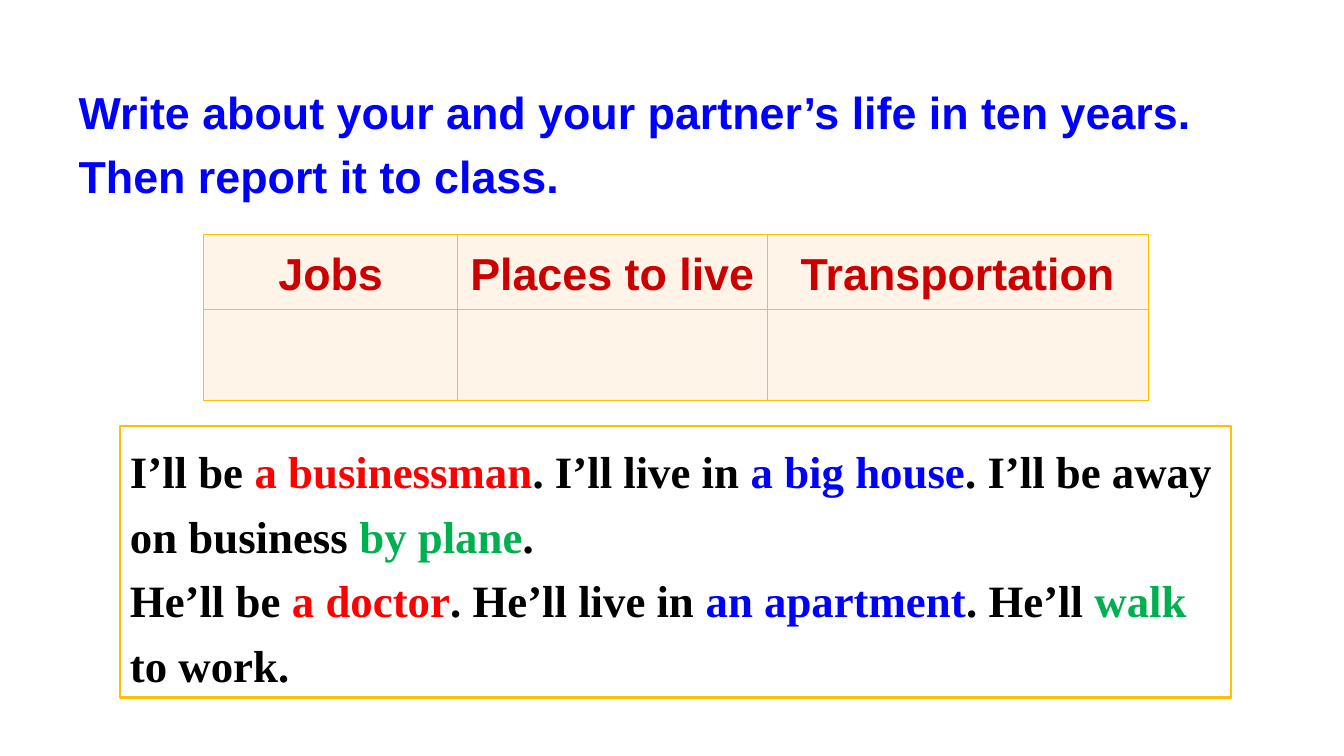
from lxml import etree
from pptx import Presentation
from pptx.dml.color import RGBColor
from pptx.enum.shapes import MSO_SHAPE
from pptx.enum.text import MSO_ANCHOR, MSO_AUTO_SIZE, PP_ALIGN
from pptx.oxml.ns import qn
from pptx.util import Inches, Pt

RECT = MSO_SHAPE.RECTANGLE
TOP, MIDDLE = MSO_ANCHOR.TOP, MSO_ANCHOR.MIDDLE
GROW = MSO_AUTO_SIZE.SHAPE_TO_FIT_TEXT
LEFT, CENTER = PP_ALIGN.LEFT, PP_ALIGN.CENTER

BLACK, RED, BLUE, GREEN = "000000", "FF0000", "0000FF", "00B050"
GOLD, CREAM, CRIMSON = "FFC000", "FFF4E7", "CC0000"

TITLE = "Write about your and your partner’s life in ten years. Then report it to class."
HEADINGS = ["Jobs", "Places to live", "Transportation"]
COL_WIDTHS = [2.52, 3.07, 3.78]
ROW_HEIGHTS = [0.71, 0.9]
REPORTS = [
    [("I’ll be ", BLACK), ("a businessman", RED), (". I’ll live in ", BLACK),
     ("a big house", BLUE), (". I’ll be away on business ", BLACK),
     ("by plane", GREEN), (".", BLACK)],
    [("He’ll be ", BLACK), ("a doctor", RED), (". He’ll live in ", BLACK),
     ("an apartment", BLUE), (". He’ll ", BLACK),
     ("walk", GREEN), (" to work.", BLACK)],
]


def rgb(value):
    """Turn a hex string into a colour."""
    return RGBColor.from_string(value)


def add_run(p, text, color=BLACK, font="Arial", size=32, bold=True):
    """Add a formatted run to a paragraph."""
    r = p.add_run()
    r.text = text
    r.font.name = font
    r.font.size = Pt(size)
    r.font.bold = bold
    r.font.color.rgb = rgb(color)


def write(tf, paragraphs, align=LEFT, anchor=TOP, **fmt):
    """Fill a text frame with paragraphs given as lists of (text, colour)."""
    tf.word_wrap = True
    tf.vertical_anchor = anchor
    for i, runs in enumerate(paragraphs):
        p = tf.add_paragraph() if i else tf.paragraphs[0]
        p.alignment = align
        p.line_spacing = 1.2
        p.space_before = p.space_after = Pt(0)
        for text, color in runs:
            add_run(p, text, color, **fmt)


def set_borders(cell, color, width):
    """Draw a line on all four sides of a table cell."""
    tcPr = cell._tc.get_or_add_tcPr()
    for i, side in enumerate(("a:lnL", "a:lnR", "a:lnT", "a:lnB")):
        ln = etree.Element(qn(side), w=str(Pt(width)))
        fill = etree.SubElement(ln, qn("a:solidFill"))
        etree.SubElement(fill, qn("a:srgbClr"), val=color)
        tcPr.insert(i, ln)


def add_title(s, left, top, width, height):
    """Place and fill the title placeholder."""
    sp = s.shapes.title
    sp.left, sp.top = Inches(left), Inches(top)
    sp.width, sp.height = Inches(width), Inches(height)
    write(sp.text_frame, [[(TITLE, BLUE)]])
    sp.text_frame.auto_size = GROW


def add_plan_table(s, left, top):
    """Add the table with headings and an empty row to fill in."""
    table = s.shapes.add_table(
        len(ROW_HEIGHTS), len(COL_WIDTHS), Inches(left), Inches(top),
        Inches(sum(COL_WIDTHS)), Inches(sum(ROW_HEIGHTS))).table
    table.first_row = table.horz_banding = False
    for col, width in zip(table.columns, COL_WIDTHS):
        col.width = Inches(width)
    for row, height in zip(table.rows, ROW_HEIGHTS):
        row.height = Inches(height)
    for cell in table.iter_cells():
        cell.fill.solid()
        cell.fill.fore_color.rgb = rgb(CREAM)
        set_borders(cell, GOLD, 1)
    for cell, heading in zip(table.rows[0].cells, HEADINGS):
        write(cell.text_frame, [[(heading, CRIMSON)]], align=CENTER)


def add_report(s, left, top, width, height):
    """Add the outlined box with the sample reports."""
    sp = s.shapes.add_shape(RECT, Inches(left), Inches(top), Inches(width), Inches(height))
    sp.shadow.inherit = False
    sp.fill.background()
    sp.line.color.rgb = rgb(GOLD)
    sp.line.width = Pt(1.5)
    write(sp.text_frame, REPORTS, anchor=MIDDLE, font="Times New Roman")
    sp.text_frame.auto_size = GROW


def main():
    """Build and save the slide."""
    prs = Presentation()
    prs.slide_width, prs.slide_height = Inches(13.33), Inches(7.5)
    s = prs.slides.add_slide(prs.slide_layouts[5])
    add_plan_table(s, 2.02, 2.33)
    add_report(s, 1.19, 4.23, 11.02, 2.69)
    add_title(s, 0.68, 0.68, 11.89, 1.39)
    prs.save("out.pptx")


if __name__ == "__main__":
    main()
